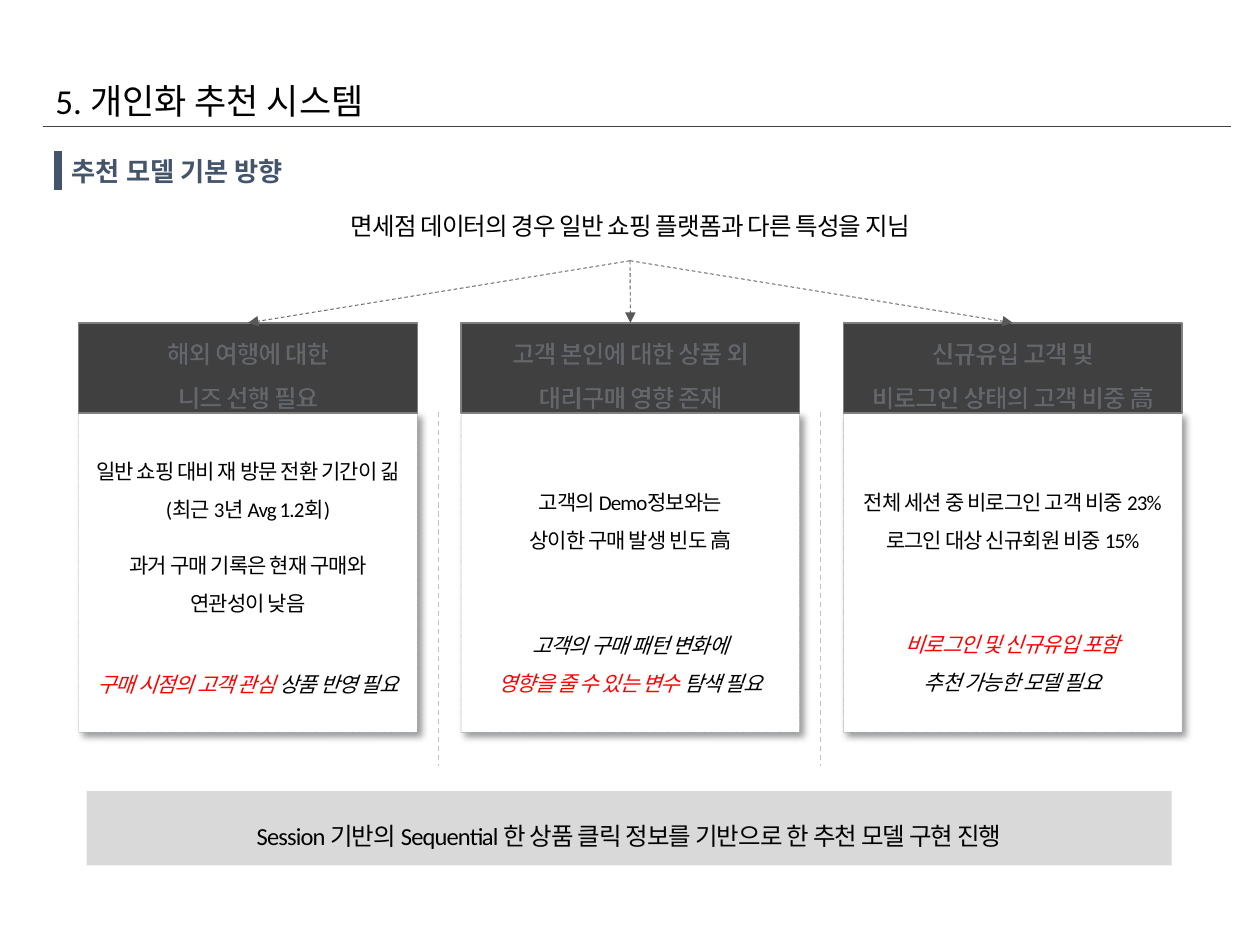
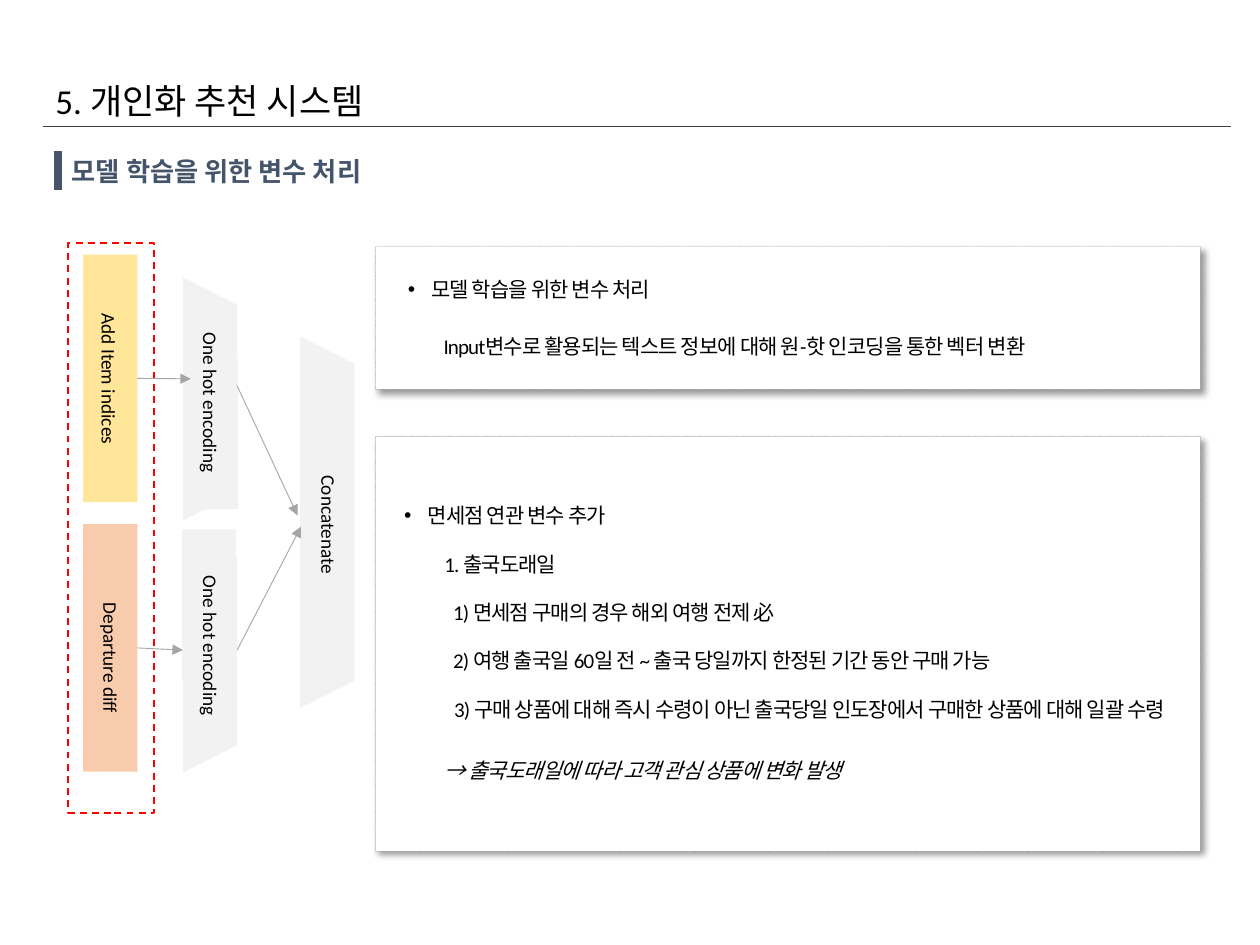
from lxml import etree
from pptx import Presentation
from pptx.dml.color import RGBColor
from pptx.enum.dml import MSO_LINE
from pptx.enum.shapes import MSO_CONNECTOR, MSO_SHAPE
from pptx.enum.text import MSO_ANCHOR, MSO_AUTO_SIZE, PP_ALIGN
from pptx.oxml import parse_xml
from pptx.oxml.ns import nsdecls, qn
from pptx.util import Pt

RECT, TRAPEZOID = MSO_SHAPE.RECTANGLE, MSO_SHAPE.TRAPEZOID
STRAIGHT = MSO_CONNECTOR.STRAIGHT
DASH, SQUARE_DOT = MSO_LINE.DASH, MSO_LINE.SQUARE_DOT
LEFT, CENTER = PP_ALIGN.LEFT, PP_ALIGN.CENTER
MIDDLE = MSO_ANCHOR.MIDDLE
TOP_SIDE, BOTTOM_SIDE, RIGHT_SIDE = 0, 2, 3

LATIN, KOREAN = "Calibri", "Noto Sans CJK KR"
BLACK, WHITE, RED = "000000", "FFFFFF", "FF0000"
NAVY, DARK, PALE = "44546A", "404040", "F2F2F2"
BODY = {"tracking": -50, "spacing": 1.5, "outlined": True}
TITLE = "5. 개인화 추천 시스템"


def rgb(value):
    return RGBColor.from_string(value)


def points(*values):
    return [Pt(value) for value in values]


def add_xml(parent, tag, **attributes):
    child = etree.SubElement(parent, qn(tag))
    for name, value in attributes.items():
        child.set(name, str(value))
    return child


def write_text(shape, lines, size=12, color=BLACK, font=LATIN, bold=False,
               italic=False, align=LEFT, spacing=None, tracking=0,
               outlined=False, bullet=None, margins=(0, 0)):
    """Fill a shape with lines; a line is a string or a list of (text, color)."""
    frame = shape.text_frame
    frame.word_wrap = True
    frame.auto_size = MSO_AUTO_SIZE.NONE
    frame.vertical_anchor = MIDDLE
    frame.margin_left = frame.margin_right = Pt(margins[0])
    frame.margin_top = frame.margin_bottom = Pt(margins[1])
    for number, line in enumerate(lines):
        para = frame.add_paragraph() if number else frame.paragraphs[0]
        para.alignment = align
        if spacing:
            para.line_spacing = spacing
        if bullet:
            props = para._p.get_or_add_pPr()
            props.set("marL", str(Pt(13.5)))
            props.set("indent", str(-Pt(13.5)))
            add_xml(props, "a:buFont", typeface="Arial")
            add_xml(props, "a:buChar", char=bullet)
        for text, span_color in [(line, color)] if isinstance(line, str) else line:
            span = para.add_run()
            span.text = text
            span.font.size = Pt(size)
            span.font.bold, span.font.italic = bold, italic
            span.font.name = font
            span.font.color.rgb = rgb(span_color)
            props = span._r.get_or_add_rPr()
            add_xml(props, "a:ea", typeface=KOREAN)
            if tracking:
                props.set("spc", str(tracking))
            if outlined:
                props.insert(0, parse_xml(
                    f'<a:ln {nsdecls("a")} w="9525"><a:solidFill><a:srgbClr val="002060">'
                    '<a:alpha val="20000"/></a:srgbClr></a:solidFill></a:ln>'))


def add_text(page, box, lines, **text_format):
    shape = page.shapes.add_textbox(*points(*box))
    write_text(shape, lines, **text_format)
    return shape


def add_block(page, box, fill=None, line=None, width=0.75, dash=None, kind=RECT):
    shape = page.shapes.add_shape(kind, *points(*box))
    shape.shadow.inherit = False
    if fill:
        shape.fill.solid()
        shape.fill.fore_color.rgb = rgb(fill)
    else:
        shape.fill.background()
    if line:
        shape.line.color.rgb = rgb(line)
        shape.line.width = Pt(width)
        if dash:
            shape.line.dash_style = dash
    else:
        shape.line.fill.background()
    return shape


def add_card(page, box):
    """Add a white panel with a faint dotted edge and a soft shadow."""
    card = add_block(page, box, WHITE, NAVY, 0.25, SQUARE_DOT)
    props = card._element.spPr
    add_xml(props.find(".//" + qn("a:ln")).find(".//" + qn("a:srgbClr")),
            "a:alpha", val=44000)
    shadow = add_xml(props.find(qn("a:effectLst")), "a:outerShdw", blurRad=Pt(4),
                     dist=Pt(3), dir=45 * 60000, algn="tl", rotWithShape=0)
    add_xml(add_xml(shadow, "a:srgbClr", val=BLACK), "a:alpha", val=40000)
    return card


def add_line(page, start, end, color, width, dash=None, arrow=False):
    line = page.shapes.add_connector(STRAIGHT, *points(*start, *end))
    line.line.color.rgb = rgb(color)
    line.line.width = Pt(width)
    if dash:
        line.line.dash_style = dash
    props = line._element.spPr
    if arrow:
        add_xml(props.find(qn("a:ln")), "a:tailEnd", type="triangle")
    add_xml(props, "a:effectLst")
    return line


def add_page(deck, heading):
    """Add a slide with the shared title, rule and section heading."""
    page = deck.slides.add_slide(deck.slide_layouts[5])
    title = page.shapes.title
    title.left, title.top, title.width, title.height = points(24.5, 46, 686, 22.5)
    write_text(title, [TITLE], size=20, margins=(7.2, 3))
    add_line(page, (24.5, 72), (703.5, 72), DARK, 0.5)
    add_line(page, (33, 86.5), (33, 108.5), NAVY, 4.32)
    add_text(page, (34, 84, 284.5, 28), [heading], size=15, color=NAVY,
             font=KOREAN, bold=True, margins=(7.2, 3))
    return page


def add_feature(page, box, heading, notes, source):
    """Add a dark header over a card, with an arrow from the source box."""
    left, top, width, height = box
    header_height = 51.5
    add_card(page, (left, top + header_height, width, height - header_height))
    header = add_block(page, (left, top, width, header_height), DARK, "808080")
    write_text(header, heading, size=14, color=WHITE, bold=True, align=CENTER,
               margins=(0, 3.6), **BODY)
    for offset, note_height, italic, lines in notes:
        add_text(page, (left - 7, top + offset, width + 14, note_height), lines,
                 italic=italic, align=CENTER, **BODY)
    arrow = add_line(page, (0, 0), (0, 0), "595959", 0.5, DASH, arrow=True)
    arrow.begin_connect(source, BOTTOM_SIDE)
    arrow.end_connect(header, TOP_SIDE)


def build_direction(deck):
    page = add_page(deck, "추천 모델 기본 방향")
    intro = add_text(page, (193, 101, 334, 48),
                     ["면세점 데이터의 경우 일반 쇼핑 플랫폼과 다른 특성을 지님"],
                     size=14, align=CENTER, **BODY)
    features = [
        (["해외 여행에 대한", "니즈 선행 필요"], [
            (70.5, 43, False, ["일반 쇼핑 대비 재 방문 전환 기간이 긺",
                               "(최근 3년 Avg 1.2회)"]),
            (124, 43, False, ["과거 구매 기록은 현재 구매와", "연관성이 낮음"]),
            (181.5, 43, True, [[("구매 시점의 고객 관심", RED),
                                (" 상품 반영 필요", BLACK)]])]),
        (["고객 본인에 대한 상품 외", "대리구매 영향 존재"], [
            (85, 49, False, ["고객의 Demo정보와는", "상이한 구매 발생 빈도 高"]),
            (167, 49, True, ["고객의 구매 패턴 변화에",
                             [("영향을 줄 수 있는 변수", RED),
                              (" 탐색 필요", BLACK)]])]),
        (["신규유입 고객 및", "비로그인 상태의 고객 비중 高"], [
            (85, 49, False, ["전체 세션 중 비로그인 고객 비중 23%",
                             "로그인 대상 신규회원 비중 15%"]),
            (166.5, 49, True, [[("비로그인 및 신규유입 포함", RED)],
                               "추천 가능한 모델 필요"])]),
    ]
    first_left, pitch, top = 45, 218.5, 184.5
    for column, (heading, notes) in enumerate(features):
        left = first_left + column * pitch
        add_feature(page, (left, top, 193.5, 234), heading, notes, intro)
        if column:
            add_line(page, (left - 13, 235.5), (left - 13, 438), "C1C1C1", 0.75, DASH)
    summary = add_block(page, (49.5, 452, 620, 42.5), "D9D9D9")
    write_text(summary, ["Session 기반의 Sequential 한 상품 클릭 정보를 기반으로 한 추천 모델 구현 진행"],
               size=14, align=CENTER, **BODY)


def add_turned_trapezoid(page, center, length):
    x, y = center
    shape = add_block(page, (x - length / 2, y - 15.5, length, 31), PALE, kind=TRAPEZOID)
    shape.adjustments[0] = 0.506
    shape.rotation = 90


def add_turned_label(page, center, text):
    x, y = center
    label = add_text(page, (x - 85, y - 10.5, 170, 21), [text], size=11, align=CENTER)
    label.rotation = 90


def add_encoder(page, box):
    """Draw inputs, encoders and concatenation; box frames the inputs."""
    left, top, width, height = box

    def at(x, y):
        return left + x, top + y

    for x, y in [(66, 65.5), (65, 163.5)]:
        add_block(page, (*at(x, y), 31, 86.5), PALE)
    for x, y, length in [(81, 89, 139), (81, 233, 139), (148, 159.5, 212.5)]:
        add_turned_trapezoid(page, at(x, y), length)
    inputs = [("FFE699", 6.5, (70, 77.5)), ("F8CBAD", 160.5, (65.5, 232.5))]
    for fill, y, target in inputs:
        block = add_block(page, (*at(8.5, y), 31, 141.5), fill)
        arrow = add_line(page, at(0, 0), at(*target), "A5A5A5", 0.5, arrow=True)
        arrow.begin_connect(block, RIGHT_SIDE)
    for start, end in [((96.5, 81.5), (131, 155.5)), ((96.5, 232.5), (133, 162))]:
        add_line(page, at(*start), at(*end), "A5A5A5", 0.5, arrow=True)
    labels = [("Add Item indices", 23.5, 77.5), ("Departure diff", 24.5, 237),
              ("One hot encoding", 81.5, 91), ("One hot encoding", 81.5, 230),
              ("Concatenate", 149, 161)]
    for text, x, y in labels:
        add_turned_label(page, at(x, y), text)
    add_block(page, box, line=RED, width=1, dash=DASH)


def add_note_card(page, box, notes):
    """Add a card; each note is (x, y, text, format) relative to it."""
    left, top, width, _ = box
    add_card(page, box)
    for x, y, text, text_format in notes:
        add_text(page, (left + x, top + y, width - x, 24), [text],
                 **BODY, **text_format)


def build_variables(deck):
    page = add_page(deck, "모델 학습을 위한 변수 처리")
    bullet = {"bullet": "•"}
    add_note_card(page, (214.5, 141, 471.5, 81.5), [
        (18.5, 8.5, "모델 학습을 위한 변수 처리", bullet),
        (39, 41, "Input변수로 활용되는 텍스트 정보에 대해 원-핫 인코딩을 통한 벡터 변환", {}),
    ])
    add_note_card(page, (214.5, 249.5, 471.5, 237), [
        (16.5, 29.5, "면세점 연관 변수 추가", bullet),
        (39.5, 57, "1. 출국도래일", {}),
        (44.5, 84.5, "1) 면세점 구매의 경우 해외 여행 전제 必", {}),
        (44.5, 112, "2) 여행 출국일 60일 전 ~ 출국 당일까지 한정된 기간 동안 구매 가능", {}),
        (45, 140, "3) 구매 상품에 대해 즉시 수령이 아닌 출국당일 인도장에서 구매한 상품에 대해 일괄 수령", {}),
        (39.5, 175, "→ 출국도래일에 따라 고객 관심 상품에 변화 발생", {"italic": True}),
    ])
    add_encoder(page, (39, 139, 49, 325.5))


def main():
    deck = Presentation()
    deck.slide_width, deck.slide_height = points(720, 540)
    build_direction(deck)
    build_variables(deck)
    deck.save("out.pptx")


if __name__ == "__main__":
    main()
